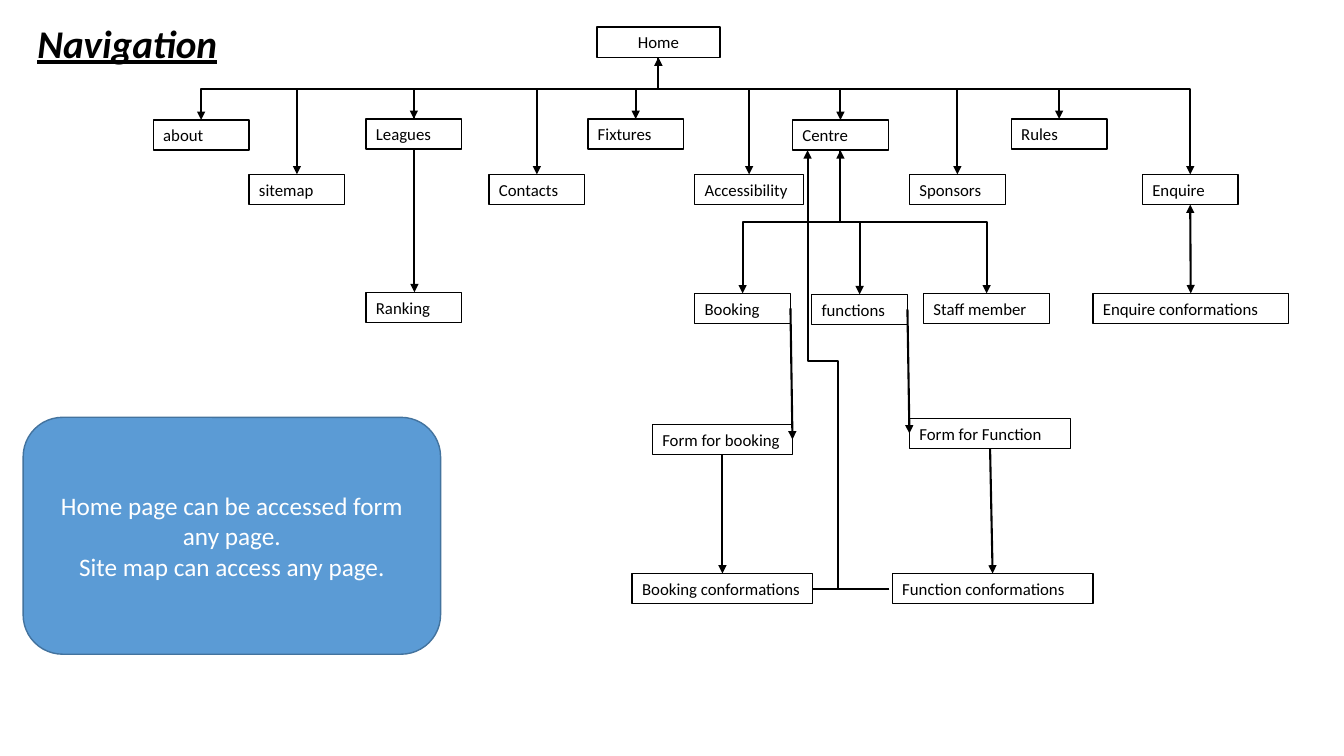
import pptx
import pptx.dml.color
import pptx.enum.shapes
import pptx.enum.text
import pptx.oxml
import pptx.oxml.ns
import pptx.util

Inches = pptx.util.Inches
Pt = pptx.util.Pt
RGBColor = pptx.dml.color.RGBColor
MSO_SHAPE = pptx.enum.shapes.MSO_SHAPE
MSO_CONNECTOR = pptx.enum.shapes.MSO_CONNECTOR
PP_ALIGN = pptx.enum.text.PP_ALIGN
MSO_ANCHOR = pptx.enum.text.MSO_ANCHOR
MSO_AUTO_SIZE = pptx.enum.text.MSO_AUTO_SIZE
qn = pptx.oxml.ns.qn

BLACK = RGBColor(0x00, 0x00, 0x00)
WHITE = RGBColor(0xFF, 0xFF, 0xFF)
BLUE = RGBColor(0x5B, 0x9B, 0xD5)
DARK_BLUE = RGBColor(0x43, 0x73, 0x9E)

TITLE = "Navigation"
NOTES = ["Home page can be accessed form any page.", "Site map can access any page."]
BOX_HEIGHT = 0.3
HOME_BUS = 0.88
CENTRE_BUS = 2.2

# name: (left, top, width)
PAGES = {
    "Home": (5.92, 0.27, 1.22),
    "about": (1.52, 1.19, 0.95),
    "Leagues": (3.63, 1.18, 0.95),
    "Fixtures": (5.83, 1.18, 0.95),
    "Centre": (7.86, 1.19, 0.95),
    "Rules": (10.03, 1.18, 0.95),
    "sitemap": (2.47, 1.73, 0.95),
    "Contacts": (4.85, 1.73, 0.95),
    "Accessibility": (6.89, 1.73, 1.08),
    "Sponsors": (9.02, 1.73, 0.95),
    "Enquire": (11.33, 1.73, 0.95),
    "Ranking": (3.63, 2.9, 0.95),
    "Booking": (6.89, 2.91, 0.95),
    "functions": (8.05, 2.92, 0.95),
    "Staff member": (9.16, 2.91, 1.25),
    "Enquire conformations": (10.84, 2.91, 1.94),
    "Form for booking": (6.47, 4.21, 1.39),
    "Form for Function": (9.02, 4.15, 1.6),
    "Booking conformations": (6.27, 5.69, 1.79),
    "Function conformations": (8.85, 5.69, 1.99),
}
HOME_LINKS = ["about", "Rules", "Leagues", "Centre", "Fixtures", "sitemap",
              "Accessibility", "Contacts", "Sponsors", "Enquire"]
CENTRE_LINKS = ["Staff member", "functions", "Booking"]

# from page, side, to page, side, arrowheads
STRAIGHT_LINKS = [
    ("Booking", "right", "Form for booking", "right", ["tailEnd"]),
    ("functions", "right", "Form for Function", "left", ["tailEnd"]),
    ("Form for booking", "bottom", "Booking conformations", "top", ["tailEnd"]),
    ("Form for Function", "bottom", "Function conformations", "top", ["tailEnd"]),
    ("Enquire", "bottom", "Enquire conformations", "top", ["headEnd", "tailEnd"]),
]


def anchor(page, side):
    """Return the middle of one side of a page box."""
    left, top, width = PAGES[page]
    across = {"left": 0, "right": width}.get(side, width / 2)
    down = {"top": 0, "bottom": BOX_HEIGHT}.get(side, BOX_HEIGHT / 2)
    return left + across, top + down


def write(shape, lines, alignment, **font_values):
    frame = shape.text_frame
    frame.word_wrap = True
    frame.text = "\n".join(lines)
    for paragraph in frame.paragraphs:
        paragraph.alignment = alignment
        font = paragraph.runs[0].font
        color = font_values["color"]
        for name, value in font_values.items():
            if name != "color":
                setattr(font, name, value)
        font.name = "Calibri"
        font.color.rgb = color
    return frame


def add_box(slide, kind, left, top, width, height, fill, line):
    shape = slide.shapes.add_shape(
        kind, Inches(left), Inches(top), Inches(width), Inches(height))
    shape.shadow.inherit = False
    shape.fill.solid()
    shape.fill.fore_color.rgb = fill
    shape.line.color.rgb = line
    shape.line.width = Pt(1)
    return shape


def add_line(slide, kind, start, end, heads):
    connector = slide.shapes.add_connector(
        kind, *(Inches(value) for value in (*start, *end)))
    connector.line.color.rgb = BLACK
    connector.line.width = Pt(1.5)
    line = connector.line._get_or_add_ln()
    for head in heads:
        pptx.oxml.ns.qn(f"a:{head}")
        line.append(line.makeelement(qn(f"a:{head}"), {"type": "triangle"}))
    properties = connector._element.spPr
    properties.append(properties.makeelement(qn("a:effectLst"), {}))
    return connector


def add_elbow(slide, preset, box, rotation, flips, adjustments=(), heads=("tailEnd",)):
    """Add a bent connector in an unrotated (left, top, width, height) box."""
    left, top, width, height = box
    connector = add_line(slide, MSO_CONNECTOR.ELBOW, (left, top),
                         (left + width, top + height), heads)
    connector.rotation = rotation
    properties = connector._element.spPr
    for flip in flips:
        properties.find(qn("a:xfrm")).set(flip, "1")
    geometry = properties.find(qn("a:prstGeom"))
    geometry.set("prst", preset)
    guides = geometry.find(qn("a:avLst"))
    for number, value in enumerate(adjustments, 1):
        guides.append(guides.makeelement(qn("a:gd"), {
            "name": f"adj{number}", "fmla": f"val {round(value * 100000)}"}))


def add_vertical_elbow(slide, start, end, bus):
    """Leave start vertically, cross at height bus and reach end vertically."""
    (x1, y1), (x2, y2) = start, end
    width, height = abs(y2 - y1), abs(x2 - x1)
    box = ((x1 + x2 - width) / 2, (y1 + y2 - height) / 2, width, height)
    if y2 < y1:
        rotation, flips = 90, ["flipH", "flipV"]
    elif x2 < x1:
        rotation, flips = 90, []
    else:
        rotation, flips = 270, ["flipH"]
    add_elbow(slide, "bentConnector3", box, rotation, flips, [(bus - y1) / (y2 - y1)])


def main():
    presentation = pptx.Presentation()
    presentation.slide_width = Inches(13.33)
    presentation.slide_height = Inches(7.5)
    slide = presentation.slides.add_slide(presentation.slide_layouts[5])

    title = slide.shapes.title
    place = {"left": 0.27, "top": 0.14, "width": 2.5, "height": 0.57}
    for name, value in place.items():
        setattr(title, name, Inches(value))
    frame = write(title, [TITLE], PP_ALIGN.LEFT, size=Pt(28), bold=True,
                  italic=True, underline=True, color=BLACK)
    frame.vertical_anchor = MSO_ANCHOR.TOP
    frame.auto_size = MSO_AUTO_SIZE.SHAPE_TO_FIT_TEXT

    note = add_box(slide, MSO_SHAPE.ROUNDED_RECTANGLE, 0.23, 4.14, 4.14, 2.35,
                   BLUE, DARK_BLUE)
    frame = write(note, NOTES, PP_ALIGN.CENTER, size=Pt(18), color=WHITE)
    frame.vertical_anchor = MSO_ANCHOR.MIDDLE

    for page, (left, top, width) in PAGES.items():
        box = add_box(slide, MSO_SHAPE.RECTANGLE, left, top, width, BOX_HEIGHT, WHITE, BLACK)
        alignment = PP_ALIGN.CENTER if page == "Home" else PP_ALIGN.LEFT
        frame = write(box, [page], alignment, size=Pt(12), color=BLACK)
        frame.vertical_anchor = MSO_ANCHOR.TOP
        frame.auto_size = MSO_AUTO_SIZE.SHAPE_TO_FIT_TEXT

    home, centre = anchor("Home", "bottom"), anchor("Centre", "bottom")
    for parent, links, bus in ((home, HOME_LINKS, HOME_BUS),
                               (centre, CENTRE_LINKS, CENTRE_BUS)):
        for page in links:
            add_vertical_elbow(slide, parent, anchor(page, "top"), bus)
    add_vertical_elbow(slide, anchor("Leagues", "bottom"), (4.11, 2.9), 2.19)
    add_vertical_elbow(slide, anchor("Leagues", "top"), home, HOME_BUS)
    add_vertical_elbow(slide, (8.33, 2.21), centre, 1.85)

    for page, side, target, target_side, heads in STRAIGHT_LINKS:
        add_line(slide, MSO_CONNECTOR.STRAIGHT, anchor(page, side),
                 anchor(target, target_side), heads)

    # Both confirmation pages lead back to Centre.
    add_elbow(slide, "bentConnector4", (8.01, 1.49, 0.05, 4.35), 0,
              ["flipH", "flipV"], [-5, 0.52])
    add_elbow(slide, "bentConnector2", (8.31, 3.68, 0.51, 2.16), 180, [], heads=())

    presentation.save("out.pptx")


if __name__ == "__main__":
    main()
